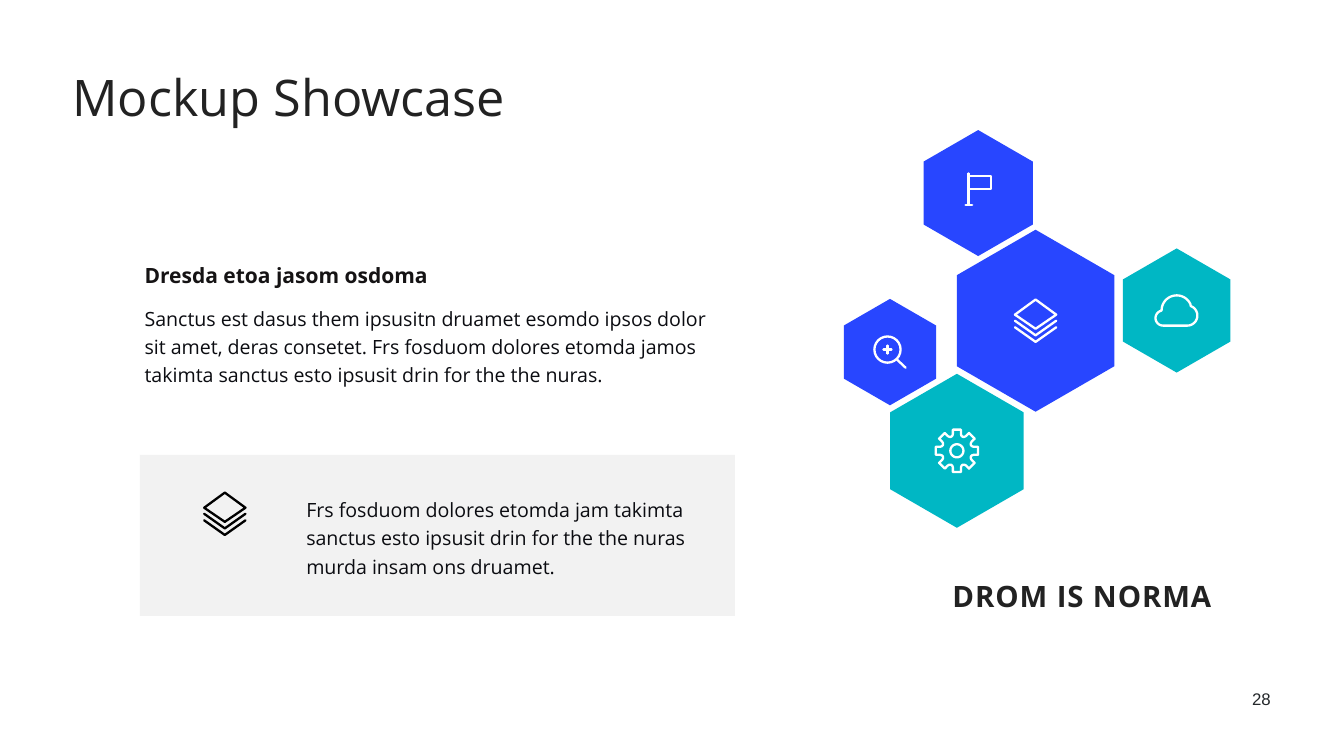
from collections import namedtuple
from math import cos, pi, radians, sin

from lxml import etree
from pptx import Presentation
from pptx.dml.color import RGBColor
from pptx.enum.shapes import MSO_SHAPE
from pptx.enum.text import MSO_ANCHOR, MSO_AUTO_SIZE, PP_ALIGN
from pptx.oxml.ns import qn
from pptx.util import Inches, Pt

RECTANGLE = MSO_SHAPE.RECTANGLE
TOP = MSO_ANCHOR.TOP
NO_AUTOFIT = MSO_AUTO_SIZE.NONE
LEFT, RIGHT = PP_ALIGN.LEFT, PP_ALIGN.RIGHT

BLUE = RGBColor(0x28, 0x46, 0xFF)
TEAL = RGBColor(0x00, 0xB7, 0xC4)
WHITE = RGBColor(0xFF, 0xFF, 0xFF)
BLACK = RGBColor(0x00, 0x00, 0x00)
PALE_GREY = RGBColor(0xF2, 0xF2, 0xF2)
HEADING = RGBColor(0x22, 0x22, 0x22)
LEAD = RGBColor(0x15, 0x13, 0x14)
BODY = RGBColor(0x0B, 0x0C, 0x11)
FOLIO = RGBColor(0x24, 0x28, 0x2B)

# The slide is a grid of 96 columns by 54 rows of square cells.
SLIDE_W, SLIDE_H = Inches(26.67), Inches(15)
CELL = SLIDE_H / 54
ICON = 3.6  # cells per unit of icon coordinates

Box = namedtuple("Box", "x y w h")
Stroke = namedtuple("Stroke", "points closed")


def emu(cells):
    return round(cells * CELL)


def inside(box, x, y, w, h):
    """Box placed at x, y from the corner of another."""
    return Box(box.x + x, box.y + y, w, h)


def arc(x, y, radius, start=0, end=360):
    steps = 24
    angles = [radians(start + (end - start) * i / steps) for i in range(steps + 1)]
    return [(x + radius * cos(a), y + radius * sin(a)) for a in angles]


def layers_icon():
    diamond = [(0, -0.42), (0.41, -0.12), (0, 0.16), (-0.41, -0.12)]
    sheets = [[(-0.41, y), (0, y + 0.29), (0.41, y)] for y in (0, 0.13)]
    return [Stroke(diamond, True)] + [Stroke(sheet, False) for sheet in sheets]


def gear_icon():
    half_tooth = [(0.08, 0.42), (0.08, 0.33), (0.09, 0.3), (0.11, 0.28)]
    tooth = [(-u, v) for u, v in reversed(half_tooth)] + half_tooth
    rim = []
    for k in range(8):
        turn = k * pi / 4
        rim += [(u * cos(turn) + v * sin(turn), u * sin(turn) - v * cos(turn))
                for u, v in tooth]
    return [Stroke(rim, True), Stroke(arc(0, 0, 0.13), True)]


def flag_icon():
    cloth = [(-0.19, -0.34), (0.26, -0.34), (0.26, -0.08), (-0.19, -0.08)]
    return [Stroke([(-0.19, -0.39), (-0.19, 0.23)], False),
            Stroke([(-0.25, 0.23), (-0.12, 0.23)], False),
            Stroke(cloth, True)]


def magnifier_icon():
    x = y = -0.05
    return [Stroke(arc(x, y, 0.26), True),
            Stroke([(0.13, 0.14), (0.31, 0.31)], False),
            Stroke([(x - 0.08, y), (x + 0.08, y)], False),
            Stroke([(x, y - 0.08), (x, y + 0.08)], False)]


def cloud_icon():
    outline = (arc(-0.27, 0.15, 0.15, 90, 250) + arc(0, 0, 0.3, 180, 335)
               + arc(0.21, 0.1, 0.2, -70, 90))
    return [Stroke(outline, True)]


def add_outline(slide, strokes, x, y, scale):
    """Freeform of strokes around the centre x, y."""
    builder = None
    for stroke in strokes:
        points = [(emu(x + px * scale), emu(y + py * scale)) for px, py in stroke.points]
        if builder is None:
            builder = slide.shapes.build_freeform(*points[0], scale=1.0)
        else:
            builder.move_to(*points[0])
        builder.add_line_segments(points[1:], close=stroke.closed)
    shape = builder.convert_to_shape()
    shape.shadow.inherit = False
    return shape


def add_icon(slide, strokes, x, y, color):
    icon = add_outline(slide, strokes, x, y, ICON)
    icon.fill.background()
    icon.line.color.rgb = color
    icon.line.width = Pt(3.3)
    outline = icon.line._get_or_add_ln()
    outline.set("cap", "rnd")
    etree.SubElement(outline, qn("a:round"))


def add_hexagon(slide, x, y, height, color):
    half_w = 3 ** 0.5 / 4
    corners = [(0, -0.5), (half_w, -0.25), (half_w, 0.25),
               (0, 0.5), (-half_w, 0.25), (-half_w, -0.25)]
    hexagon = add_outline(slide, [Stroke(corners, True)], x, y, height)
    hexagon.fill.solid()
    hexagon.fill.fore_color.rgb = color
    hexagon.line.fill.background()


def set_text(shape, text, size, color, font="Open Sans", bold=False,
             spacing=1.0, align=LEFT, tracking=0, inset=0.05):
    frame = shape.text_frame
    frame.text = text
    frame.word_wrap = True
    frame.auto_size = NO_AUTOFIT
    frame.vertical_anchor = TOP
    frame.margin_left = frame.margin_right = Inches(inset)
    frame.margin_top = frame.margin_bottom = Inches(inset)
    paragraph = frame.paragraphs[0]
    paragraph.alignment = align
    paragraph.line_spacing = spacing
    run = paragraph.runs[0]
    run.font.name, run.font.size, run.font.bold = font, Pt(size), bold
    run.font.color.rgb = color
    if tracking:
        run._r.get_or_add_rPr().set("spc", str(round(tracking * 100)))


def add_text(slide, box, text, size, color, **style):
    set_text(slide.shapes.add_textbox(*map(emu, box)), text, size, color, **style)


def place_title(slide, box):
    title = slide.shapes.title
    title.left, title.top, title.width, title.height = map(emu, box)
    set_text(title, "Mockup Showcase", 72, HEADING, spacing=0.9)


def add_intro(slide, box):
    add_text(slide, inside(box, 0, 0, box.w / 2, 2.4),
             "Dresda etoa jasom osdoma", 30, LEAD, bold=True, spacing=1.2)
    add_text(slide, inside(box, 0, 3.18, box.w, 6.8),
             "Sanctus est dasus them ipsusitn druamet esomdo ipsos dolor sit amet, "
             "deras consetet. Frs fosduom dolores etomda jamos takimta sanctus esto "
             "ipsusit drin for the the nuras.", 28, BODY, spacing=1.2)


def add_note_card(slide, box):
    card = slide.shapes.add_shape(RECTANGLE, *map(emu, box))
    card.shadow.inherit = False
    card.fill.solid()
    card.fill.fore_color.rgb = PALE_GREY
    card.line.fill.background()
    add_icon(slide, layers_icon(), box.x + 6.06, box.y + 4.2, BLACK)
    add_text(slide, inside(box, 11.7, 2.56, 27.76, 6.8),
             "Frs fosduom dolores etomda jam takimta sanctus esto ipsusit drin "
             "for the the nuras murda insam ons druamet.", 28, BODY, spacing=1.2)


def add_honeycomb(slide, box):
    tiles = [(13.98, 13.91, 13, BLUE, layers_icon),
             (8.36, 23.2, 11, TEAL, gear_icon),
             (9.88, 4.79, 9, BLUE, flag_icon),
             (24.06, 13.18, 8.87, TEAL, cloud_icon),
             (3.58, 16.15, 7.6, BLUE, magnifier_icon)]
    for x, y, height, color, icon in tiles:
        add_hexagon(slide, box.x + x, box.y + y, height, color)
        add_icon(slide, icon(), box.x + x, box.y + y, WHITE)


def main():
    deck = Presentation()
    deck.slide_width, deck.slide_height = SLIDE_W, SLIDE_H
    slide = deck.slides.add_slide(deck.slide_layouts[5])
    place_title(slide, Box(5, 5, 37, 5.25))
    add_intro(slide, Box(10.15, 18.2, 42.2, 10))
    add_note_card(slide, Box(10, 32.5, 42.5, 11.5))
    add_honeycomb(slide, Box(60, 9, 28, 29))
    add_text(slide, Box(67.86, 41.15, 20.63, 3.2), "DROM IS NORMA", 42, HEADING,
             bold=True, tracking=1.3)
    add_text(slide, Box(86, 49, 5, 1.84), "28", 24, FOLIO, font="Arial",
             align=RIGHT, inset=0.06)
    deck.save("out.pptx")


if __name__ == "__main__":
    main()
